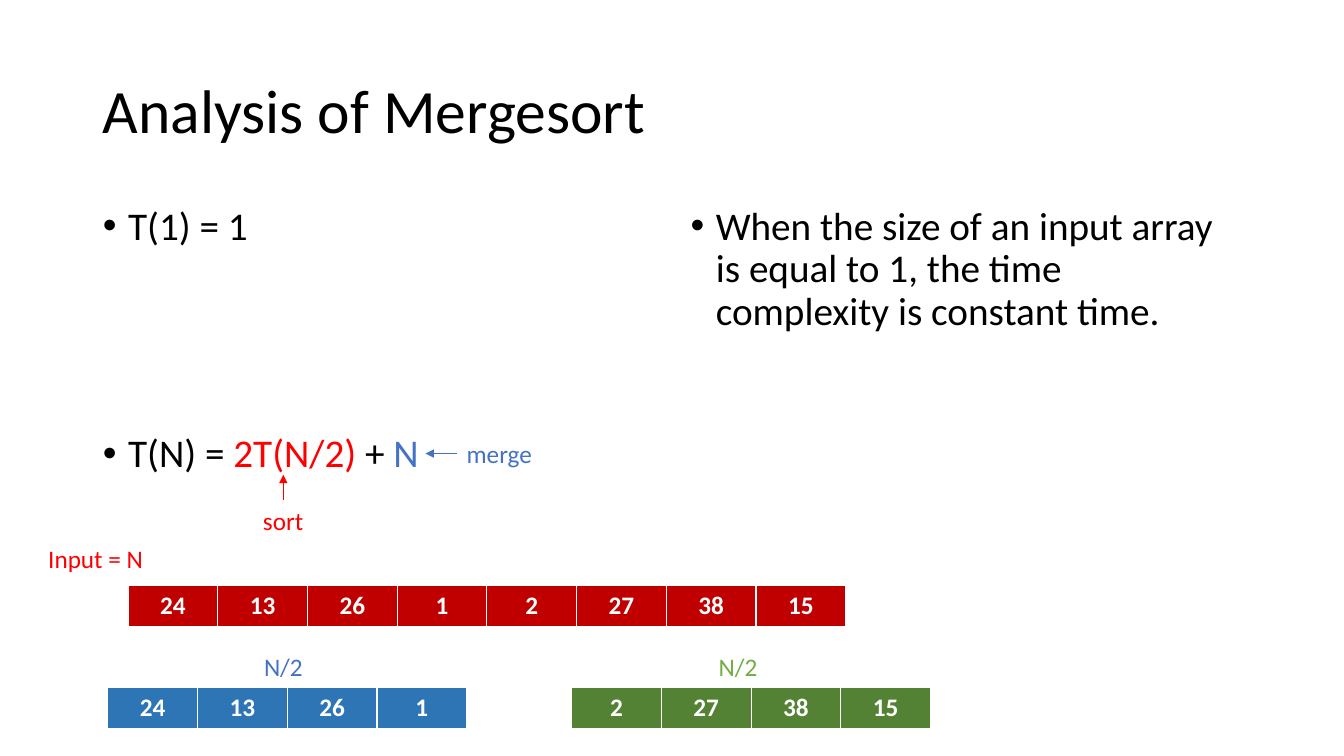
"""Build the slide that analyses the running time of mergesort."""
from dataclasses import dataclass

from lxml.etree import SubElement
from pptx import Presentation
from pptx.dml.color import RGBColor
from pptx.enum.shapes import MSO_CONNECTOR
from pptx.enum.text import MSO_ANCHOR, MSO_AUTO_SIZE, PP_ALIGN
from pptx.oxml.ns import qn
from pptx.util import Inches, Pt


@dataclass(frozen=True)
class Theme:
    """Colours, font and type sizes of the slide."""
    font: str = "Calibri"
    title: int = 44
    body: int = 28
    label: int = 18
    ink: str = "000000"
    paper: str = "FFFFFF"
    red: str = "FF0000"
    blue: str = "4472C4"
    green: str = "70AD47"
    input_fill: str = "C00000"
    left_fill: str = "2E75B6"
    right_fill: str = "548235"


THEME = Theme()
TITLE = "Analysis of Mergesort"
RECURRENCE = [
    [("T(1) = 1", THEME.ink)],
    [("T(N) = ", THEME.ink), ("2T(N/2) ", THEME.red), ("+ ", THEME.ink), ("N", THEME.blue)],
]
EXPLANATION = [
    [("When the size of an input array is equal to 1, "
      "the time complexity is constant time.", THEME.ink)],
]
NUMBERS = [24, 13, 26, 1, 2, 27, 38, 15]
HALF = len(NUMBERS) // 2

TITLE_BOX = (0.92, 0.4, 11.5, 1.45)
COLUMNS = [(0.92, RECURRENCE), (6.75, EXPLANATION)]
COLUMN_TOP, COLUMN_WIDTH, COLUMN_HEIGHT = 2, 5.67, 4.76
RECURRENCE_GAP = Pt(132)
BULLET_INDENT = Inches(0.25)
CELL_WIDTH, CELL_HEIGHT = 0.89, 0.41
LABEL_HEIGHT = 0.4

ARRAYS = [
    (1.07, 6.82, NUMBERS[:HALF], THEME.left_fill),
    (5.67, 6.82, NUMBERS[HALF:], THEME.right_fill),
    (1.27, 5.81, NUMBERS, THEME.input_fill),
]
LABELS = [
    ("merge", 4.53, 4.3, 0.86, THEME.blue),
    ("sort", 2.51, 4.96, 0.61, THEME.red),
    ("Input = N", 0.38, 5.34, 1.15, THEME.red),
    ("N/2", 2.52, 6.41, 0.59, THEME.blue),
    ("N/2", 7.03, 6.41, 0.59, THEME.green),
]
ARROWS = [
    (4.53, 4.5, 4.22, 4.5, THEME.blue),
    (2.81, 4.96, 2.81, 4.71, THEME.red),
]


def style(font, size, color, bold=False):
    font.name, font.size, font.bold = THEME.font, Pt(size), bold
    font.color.rgb = RGBColor.from_string(color)


def place(shape, left, top, width, height):
    shape.left, shape.top = Inches(left), Inches(top)
    shape.width, shape.height = Inches(width), Inches(height)


def write_title(title):
    place(title, *TITLE_BOX)
    frame = title.text_frame
    frame.text = TITLE
    frame.vertical_anchor = MSO_ANCHOR.MIDDLE
    frame.auto_size = MSO_AUTO_SIZE.NONE
    heading = frame.paragraphs[0]
    heading.alignment, heading.line_spacing = PP_ALIGN.LEFT, 0.9
    style(heading.runs[0].font, THEME.title, THEME.ink)


def write_bullets(body, left, bullets):
    place(body, left, COLUMN_TOP, COLUMN_WIDTH, COLUMN_HEIGHT)
    frame = body.text_frame
    frame.auto_size = MSO_AUTO_SIZE.NONE
    for index, pieces in enumerate(bullets):
        bullet = frame.add_paragraph() if index else frame.paragraphs[0]
        bullet.line_spacing = 0.9
        bullet.space_before = RECURRENCE_GAP if index else Pt(0)
        properties = bullet._p.get_or_add_pPr()
        properties.set("marL", str(BULLET_INDENT))
        properties.set("indent", str(-BULLET_INDENT))
        for text, color in pieces:
            piece = bullet.add_run()
            piece.text = text
            style(piece.font, THEME.body, color)


def add_array(slide, left, top, numbers, fill):
    array = slide.shapes.add_table(
        1, len(numbers), Inches(left), Inches(top),
        Inches(CELL_WIDTH * len(numbers)), Inches(CELL_HEIGHT)).table
    for cell, number in zip(array.rows[0].cells, numbers):
        cell.text = str(number)
        cell.fill.solid()
        cell.fill.fore_color.rgb = RGBColor.from_string(fill)
        entry = cell.text_frame.paragraphs[0]
        entry.alignment = PP_ALIGN.CENTER
        style(entry.runs[0].font, THEME.label, THEME.paper, bold=True)


def add_label(slide, text, left, top, width, color):
    label = slide.shapes.add_textbox(
        Inches(left), Inches(top), Inches(width), Inches(LABEL_HEIGHT))
    frame = label.text_frame
    frame.text = text
    frame.word_wrap = False
    frame.auto_size = MSO_AUTO_SIZE.SHAPE_TO_FIT_TEXT
    style(frame.paragraphs[0].runs[0].font, THEME.label, color)


def add_arrow(slide, start_x, start_y, end_x, end_y, color):
    arrow = slide.shapes.add_connector(
        MSO_CONNECTOR.STRAIGHT, Inches(start_x), Inches(start_y),
        Inches(end_x), Inches(end_y))
    arrow.line.width = Pt(0.5)
    arrow.line.color.rgb = RGBColor.from_string(color)
    SubElement(arrow.line._get_or_add_ln(), qn("a:tailEnd"), type="triangle")
    SubElement(arrow._element.spPr, qn("a:effectLst"))


def main():
    deck = Presentation()
    deck.slide_width, deck.slide_height = Inches(13.33), Inches(7.5)
    slide = deck.slides.add_slide(deck.slide_layouts.get_by_name("Two Content"))
    title, *bodies = slide.placeholders
    write_title(title)
    for body, (left, bullets) in zip(bodies, COLUMNS):
        write_bullets(body, left, bullets)
    for arrow in ARROWS:
        add_arrow(slide, *arrow)
    for array in ARRAYS:
        add_array(slide, *array)
    for label in LABELS:
        add_label(slide, *label)
    deck.save("out.pptx")


if __name__ == "__main__":
    main()
